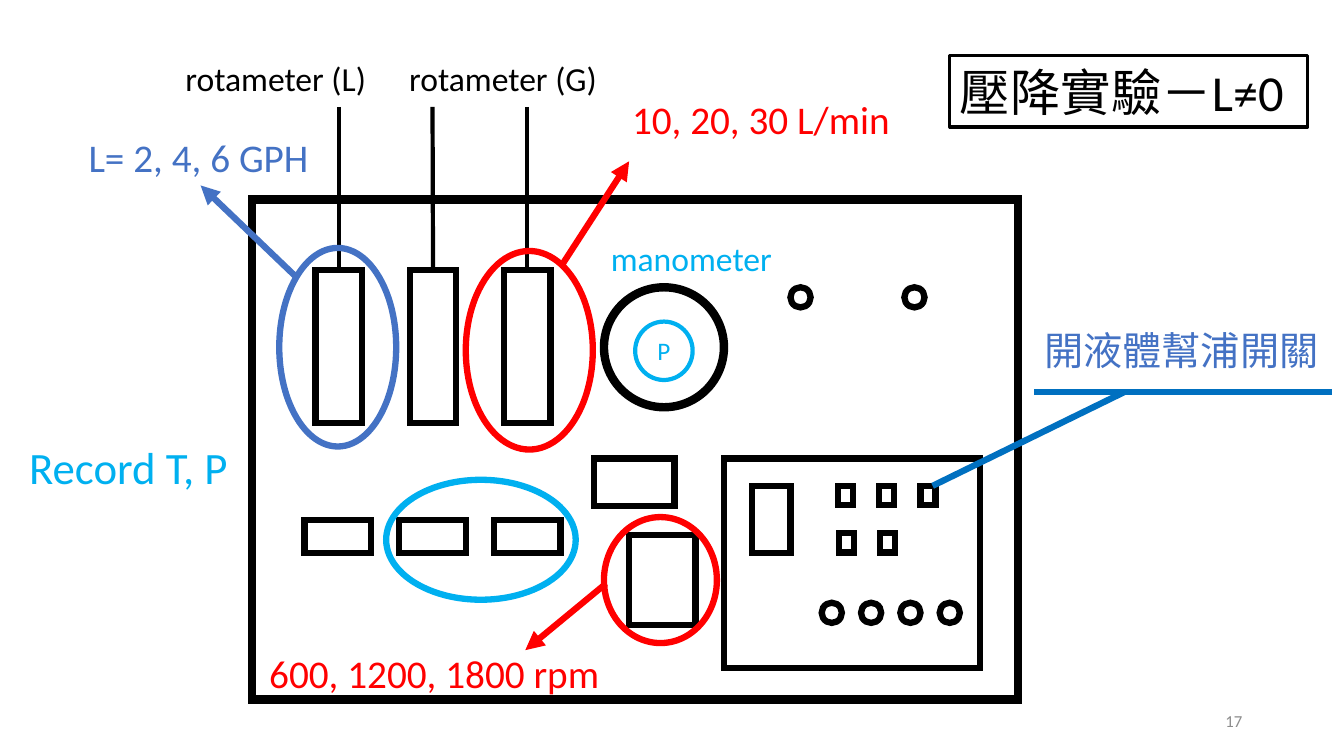
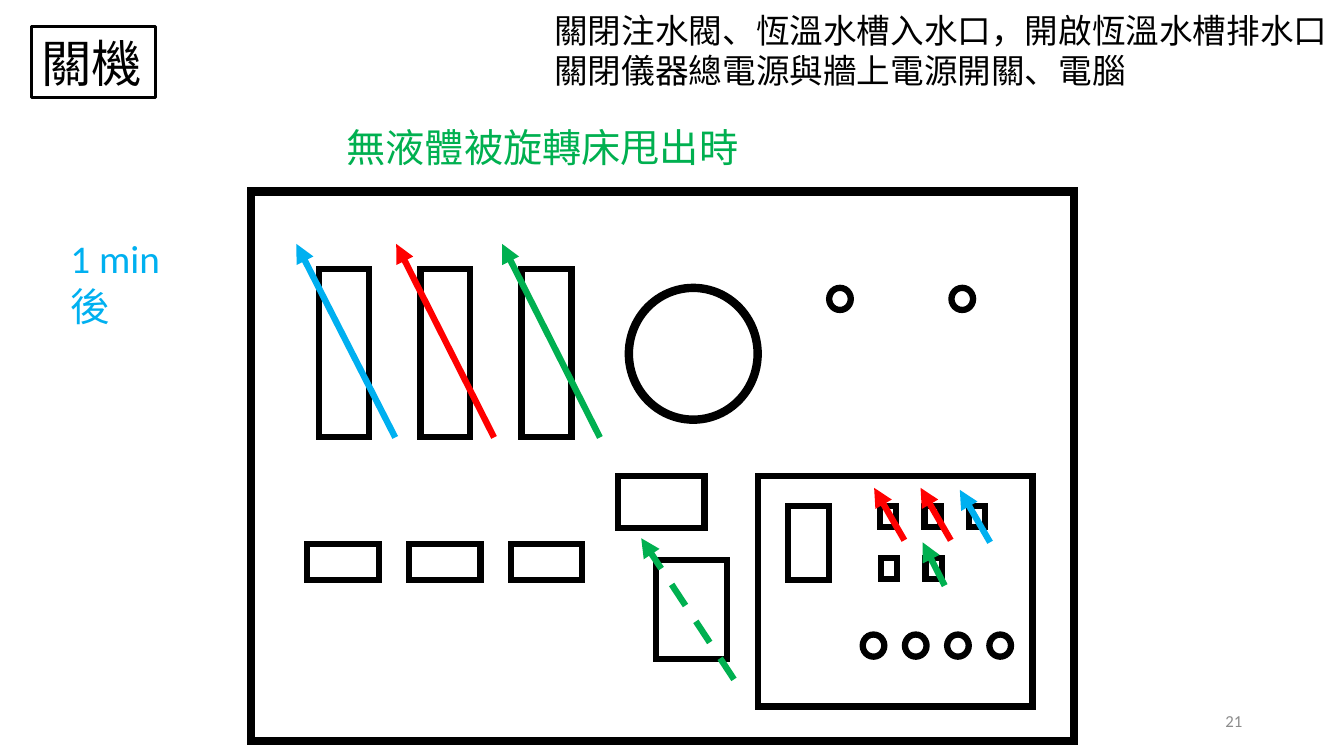
from dataclasses import dataclass
from typing import NamedTuple

from lxml.etree import SubElement
from pptx import Presentation
from pptx.dml.color import RGBColor
from pptx.enum.dml import MSO_LINE
from pptx.enum.shapes import MSO_CONNECTOR, MSO_SHAPE
from pptx.enum.text import MSO_ANCHOR, MSO_AUTO_SIZE, PP_ALIGN
from pptx.oxml.ns import qn
from pptx.util import Inches, Pt

FONT = "Calibri"
BLACK, GRAY = "000000", "8C8C8C"
RED, GREEN = "FF0000", "00B050"
BLUE, DEEP_BLUE, SKY = "4472C4", "0070C0", "00B0F0"
SLIDE_WIDTH, SLIDE_HEIGHT = Inches(13.33), Inches(7.5)
TITLE_ONLY = 5


class Box(NamedTuple):
    column: float
    row: float
    columns: float
    rows: float


@dataclass(frozen=True)
class Grid:
    left: float
    top: float
    column: float
    row: float

    def point(self, column: float, row: float) -> tuple[int, int]:
        return round(self.left + column * self.column), round(self.top + row * self.row)

    def place(self, box: Box) -> tuple[int, int, int, int]:
        return (*self.point(box.column, box.row),
                round(box.columns * self.column), round(box.rows * self.row))


@dataclass(frozen=True)
class PartRow:
    """Equal parts of the instrument, side by side, a fixed step apart."""
    kind: MSO_SHAPE
    first: Box
    count: int = 1
    step: float = 0
    weight: float = 4.5


@dataclass(frozen=True)
class Label:
    text: str
    box: Box
    size: float
    color: str
    align: PP_ALIGN = PP_ALIGN.LEFT
    wrap: bool = False
    anchor: MSO_ANCHOR = MSO_ANCHOR.TOP


@dataclass(frozen=True)
class Stroke:
    start: tuple[float, float]
    end: tuple[float, float]
    color: str
    weight: float = 4.5
    arrow: bool = True
    dashed: bool = False


@dataclass(frozen=True)
class Ring:
    box: Box
    color: str
    weight: float = 4.5


RECTANGLE, OVAL = MSO_SHAPE.RECTANGLE, MSO_SHAPE.OVAL
SLIDE_GRID = Grid(0, 0, SLIDE_WIDTH / 1333, SLIDE_HEIGHT / 750)
PANEL_COLUMNS, PANEL_ROWS = 760, 496
TUBES = PartRow(RECTANGLE, Box(63, 70, 46, 152), 3, 93.5)
PANEL = [
    PartRow(RECTANGLE, Box(0, 0, PANEL_COLUMNS, PANEL_ROWS), weight=6),
    PartRow(OVAL, Box(349, 87, 119, 119), weight=6),
    TUBES,
    PartRow(OVAL, Box(534, 87, 20, 20), 2, 113),
    PartRow(RECTANGLE, Box(52, 318, 66, 33), 3, 94),
    PartRow(RECTANGLE, Box(339, 257, 80, 47)),
    PartRow(RECTANGLE, Box(374, 333, 66, 89)),
    PartRow(RECTANGLE, Box(468, 257, 254, 208)),
    PartRow(RECTANGLE, Box(496, 284, 38, 67)),
    PartRow(RECTANGLE, Box(581, 284, 15, 19), 3, 41),
    PartRow(RECTANGLE, Box(582, 331, 15, 19), 2, 41),
    PartRow(OVAL, Box(565, 400, 20, 20), 4, 39),
]


def rgb(color: str) -> RGBColor:
    return RGBColor.from_string(color)


def outline(shape, color: str, weight: float) -> None:
    shape.fill.background()
    shape.line.color.rgb = rgb(color)
    shape.line.width = Pt(weight)


def write(shape, label: Label) -> None:
    frame = shape.text_frame
    frame.text = label.text
    frame.word_wrap = label.wrap
    frame.auto_size = MSO_AUTO_SIZE.NONE
    frame.vertical_anchor = label.anchor
    for para in frame.paragraphs:
        para.alignment = label.align
        for span in para.runs:
            span.font.name = FONT
            span.font.size = Pt(label.size)
            span.font.color.rgb = rgb(label.color)


def add_label(page, label: Label) -> None:
    write(page.shapes.add_textbox(*SLIDE_GRID.place(label.box)), label)


def add_outlined(shapes, kind: MSO_SHAPE, place: tuple, color: str, weight: float):
    shape = shapes.add_shape(kind, *place)
    shape.shadow.inherit = False
    outline(shape, color, weight)
    SubElement(shape.element.spPr.find(qn("a:ln")), qn("a:miter"), lim="800000")
    return shape


def add_ring(page, ring: Ring):
    return add_outlined(page.shapes, OVAL, SLIDE_GRID.place(ring.box), ring.color, ring.weight)


def add_stroke(page, stroke: Stroke):
    connector = page.shapes.add_connector(
        MSO_CONNECTOR.STRAIGHT, *SLIDE_GRID.point(*stroke.start), *SLIDE_GRID.point(*stroke.end))
    connector.line.color.rgb = rgb(stroke.color)
    connector.line.width = Pt(stroke.weight)
    if stroke.dashed:
        connector.line.dash_style = MSO_LINE.DASH
    properties = connector.element.spPr
    if stroke.arrow:
        SubElement(properties.find(qn("a:ln")), qn("a:tailEnd"), type="triangle")
    SubElement(properties, qn("a:effectLst"))
    return connector


def add_panel(page, frame: Box) -> list:
    """Draw the instrument panel inside frame and return its rotameter tubes."""
    left, top, width, height = SLIDE_GRID.place(frame)
    grid = Grid(left, top, width / PANEL_COLUMNS, height / PANEL_ROWS)
    group = page.shapes.add_group_shape()
    tubes = []
    for part in PANEL:
        for index in range(part.count):
            box = part.first._replace(column=part.first.column + index * part.step)
            shape = add_outlined(group.shapes, part.kind, grid.place(box), BLACK, part.weight)
            if part is TUBES:
                tubes.append(shape)
    return tubes


def add_page(deck, title: str, title_box: Box, number: int):
    page = deck.slides.add_slide(deck.slide_layouts[TITLE_ONLY])
    heading = page.shapes.title
    heading.left, heading.top, heading.width, heading.height = SLIDE_GRID.place(title_box)
    outline(heading, BLACK, 2.25)
    write(heading, Label(title, title_box, 36, BLACK, wrap=True, anchor=MSO_ANCHOR.MIDDLE))
    add_label(page, Label(str(number), Box(942, 695, 300, 40), 12, GRAY,
                          PP_ALIGN.RIGHT, True, MSO_ANCHOR.MIDDLE))
    return page


def build_pressure_drop(deck) -> None:
    page = add_page(deck, "壓降實驗－L≠0", Box(942, 55, 355, 71), 17)
    for tube, column in zip(add_panel(page, Box(250, 198, 760, 496)), (336, 429, 523)):
        lead = add_stroke(page, Stroke((column, 106), (column, 268), BLACK, 3, arrow=False))
        lead.end_connect(tube, 0)
    for stroke in (
        Stroke((601, 579), (521, 645), RED),
        Stroke((925, 482), (1115, 389), DEEP_BLUE, arrow=False),
        Stroke((1026, 389), (1321, 389), DEEP_BLUE, arrow=False),
        Stroke((556, 265), (624, 160), RED),
        Stroke((294, 275), (199, 184), BLUE),
    ):
        add_stroke(page, stroke)
    for ring in (
        Ring(Box(383, 476, 188, 119), SKY),
        Ring(Box(462, 249, 126, 197), RED),
        Ring(Box(599, 513, 112, 125), RED),
        Ring(Box(277, 246, 116, 197), BLUE),
    ):
        add_ring(page, ring)
    gauge = Box(630, 319, 57, 58)
    write(add_ring(page, Ring(gauge, SKY, 3)),
          Label("P", gauge, 18, SKY, PP_ALIGN.CENTER, True, MSO_ANCHOR.MIDDLE))
    for label in (
        Label("rotameter (L)", Box(173, 53, 201, 50), 24, BLACK, PP_ALIGN.CENTER),
        Label("rotameter (G)", Box(396, 53, 208, 50), 24, BLACK),
        Label("600, 1200, 1800 rpm", Box(152, 639, 452, 57), 28, RED, PP_ALIGN.RIGHT, True),
        Label("L= 2, 4, 6 GPH", Box(78, 127, 241, 57), 28, BLUE),
        Label("10, 20, 30 L/min", Box(617, 90, 279, 57), 28, RED),
        Label("Record T, P", Box(19, 431, 219, 64), 32, SKY),
        Label("開液體幫浦開關", Box(1026, 319, 295, 57), 28, BLUE),
        Label("manometer", Box(596, 231, 181, 50), 24, SKY),
    ):
        add_label(page, label)


def build_shutdown(deck) -> None:
    page = add_page(deck, "關機", Box(31, 26, 123, 71), 21)
    add_panel(page, Box(249, 190, 816, 545))
    for stroke in (
        Stroke((490, 434), (393, 242), RED),
        Stroke((392, 434), (294, 242), SKY),
        Stroke((595, 434), (498, 242), GREEN),
        Stroke((982, 538), (952, 486), SKY),
        Stroke((943, 536), (913, 484), RED),
        Stroke((897, 536), (867, 484), RED),
        Stroke((937, 581), (915, 538), GREEN),
        Stroke((728, 674), (636, 534), GREEN, dashed=True),
    ):
        add_stroke(page, stroke)
    for label in (
        Label("1 min 後", Box(60, 228, 120, 100), 28, SKY, wrap=True),
        Label("無液體被旋轉床甩出時", Box(334, 117, 413, 57), 28, GREEN),
        Label("關閉注水閥、恆溫水槽入水口，開啟恆溫水槽排水口\n關閉儀器總電源與牆上電源開關、電腦",
              Box(540, 5, 818, 91), 24, BLACK, wrap=True),
    ):
        add_label(page, label)


def main() -> None:
    deck = Presentation()
    deck.slide_width, deck.slide_height = SLIDE_WIDTH, SLIDE_HEIGHT
    build_pressure_drop(deck)
    build_shutdown(deck)
    deck.save("out.pptx")


if __name__ == "__main__":
    main()
